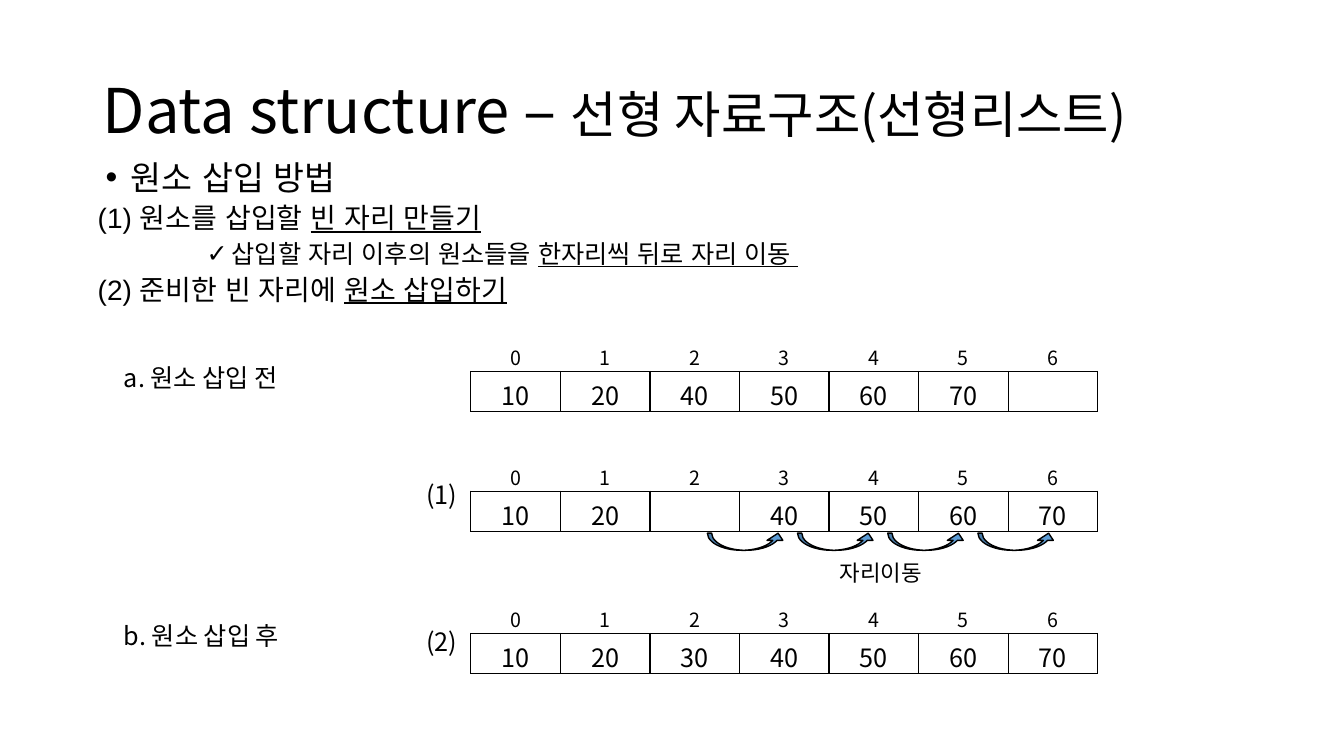
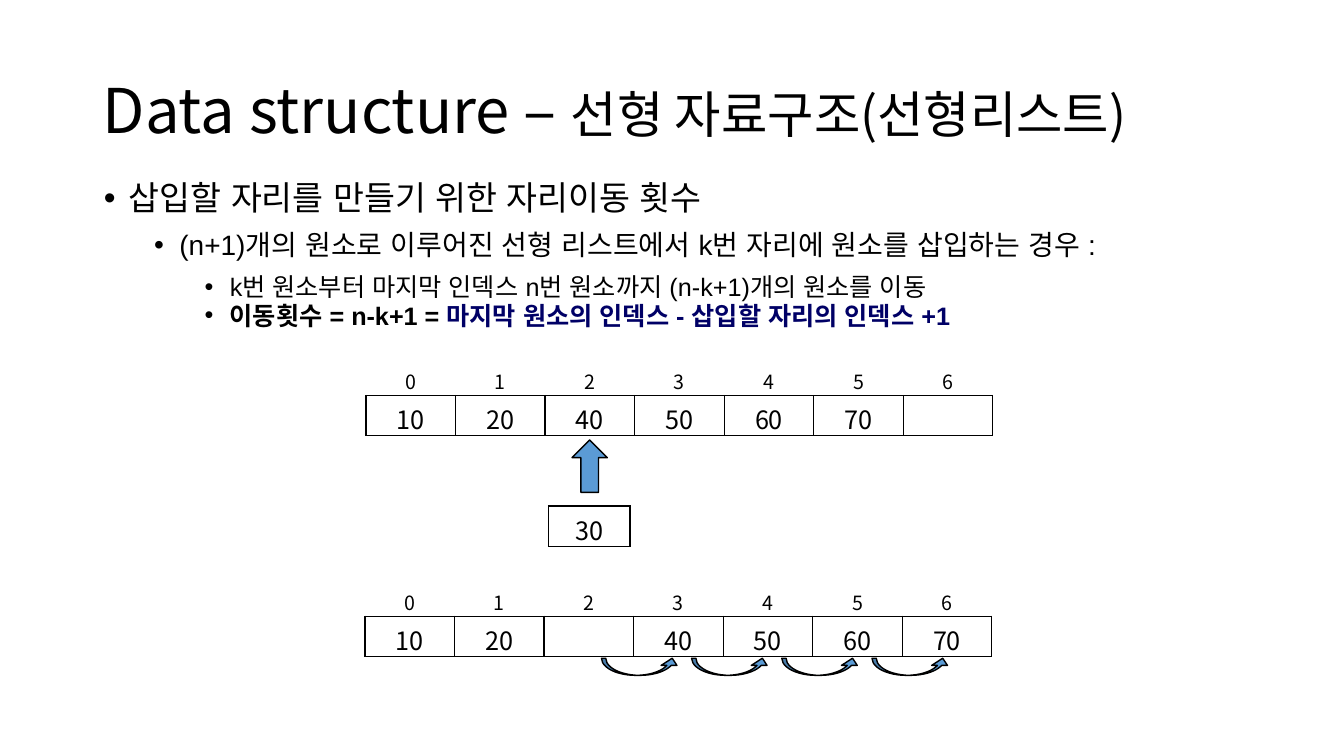
import pptx
import pptx.util
import pptx.dml.color
import pptx.enum.shapes
import pptx.enum.text
import pptx.oxml
import pptx.oxml.ns

WIDE, HIGH = 13.33, 7.5
INK, PAPER, BLUE, NAVY = "000000", "FFFFFF", "5B9BD5", "000066"
NOTO, ARIAL = "Noto Sans CJK KR", "Arial"
MID = pptx.enum.text.MSO_ANCHOR.MIDDLE
CENTER = pptx.enum.text.PP_ALIGN.CENTER
SHAPE = pptx.enum.shapes.MSO_SHAPE
TITLE = [("Data structure – ", {"size": 44}), ("선형 자료구조(선형리스트)", {"size": 36})]
LINE = {"underline": True}
SHIFT = ["10", "20", "", "40", "50", "60", "70"]
START = ["10", "20", "40", "50", "60", "70", ""]
FINAL = ["10", "20", "30", "40", "50", "60", "70"]


def across(share):
    return pptx.util.Inches(WIDE * share / 100)


def down(share):
    return pptx.util.Inches(HIGH * share / 100)


def place(x, y, w, h):
    return across(x), down(y), across(w), down(h)


def color(code):
    return pptx.dml.color.RGBColor.from_string(code)


def paint(fill, code):
    fill.solid()
    fill.fore_color.rgb = color(code)


def node(parent, tag, **attrs):
    item = pptx.oxml.ns.qn("a:" + tag)
    child = parent.makeelement(item, attrs)
    parent.append(child)
    return child


def apply(item, form):
    for name, value in form.items():
        setattr(item, name, value)


def write(para, text, size=18, name=NOTO, code=INK, **form):
    run = para.add_run()
    run.text = text
    apply(run.font, {"size": pptx.util.Pt(size), "name": name, **form})
    run.font.color.rgb = color(code)
    node(run.font._element, "ea", typeface=name)


def box(slide, spot, **form):
    frame = slide.shapes.add_textbox(*place(*spot)).text_frame
    apply(frame, {"word_wrap": True, **form})
    return frame


def label(slide, text, spot, size=18):
    write(box(slide, spot).paragraphs[0], text, size)


def head(slide):
    frame = box(slide, (6.9, 5.33, 86.25, 19.33), vertical_anchor=MID)
    para = frame.paragraphs[0]
    para.line_spacing = 0.9
    for text, form in TITLE:
        write(para, text, **form)


def body(slide, x, y, rows):
    frame = box(slide, (x, y, 86.25, 63.47))
    for index, (level, left, hang, space, mark, size, runs) in enumerate(rows):
        para = frame.add_paragraph() if index else frame.paragraphs[0]
        apply(para, {"level": level, "line_spacing": space,
                     "space_before": pptx.util.Pt(5)})
        props = para._p.get_or_add_pPr()
        props.set("marL", str(pptx.util.Inches(left)))
        props.set("indent", str(pptx.util.Inches(hang)))
        if mark:
            node(props, "buFont", typeface=ARIAL)
            node(props, "buChar", char=mark)
        else:
            node(props, "buNone")
        for text, form in runs:
            write(para, text, size, ARIAL, **form)


def border(cell, sides):
    props = cell._tc.get_or_add_tcPr()
    for index, side in enumerate(sides):
        edge = node(props, "ln" + side, w=str(pptx.util.Pt(1)))
        node(node(edge, "solidFill"), "srgbClr", val=INK)
        props.insert(index, edge)


def grid(slide, x, y, wide, rows):
    tall = sum(row[0] for row in rows)
    count = len(rows[0][3])
    spot = place(x, y, wide, tall)
    table = slide.shapes.add_table(len(rows), count, *spot).table
    apply(table, {"first_row": False, "horz_banding": False})
    for r, (part, size, sides, texts) in enumerate(rows):
        table.rows[r].height = down(part)
        for c, text in enumerate(texts):
            cell = table.cell(r, c)
            cell.vertical_anchor = MID
            paint(cell.fill, PAPER)
            border(cell, sides)
            para = cell.text_frame.paragraphs[0]
            para.alignment = CENTER
            if text:
                write(para, text, size)


def array(slide, x, y, items):
    keys = [str(n) for n in range(len(items))]
    grid(slide, x, y, 46.65, [(4, 14, "B", keys), (4.8, 18, "LRTB", items)])


def arrow(slide, kind, spot, turn=0, bends=()):
    shape = slide.shapes.add_shape(kind, *place(*spot))
    shape.shadow.inherit = False
    shape.rotation = turn
    paint(shape.fill, BLUE)
    paint(shape.line.fill, INK)
    shape.line.width = pptx.util.Pt(1)
    for index, bend in enumerate(bends):
        shape.adjustments[index] = bend


def hops(slide, x, y):
    for step in range(4):
        spot = (x + 17.6 + 6.71 * step, y + 10, 5.85, 2.27)
        arrow(slide, SHAPE.CURVED_UP_ARROW, spot, bends=(0.25, 0.92, 0.42))


def insert(slide):
    head(slide)
    body(slide, 3.38, 20.67, [
        (0, 0.75, -0.25, 0.9, "•", 24, [("원소 삽입 방법", {})]),
        (1, 0.42, 0, 0.9, "", 20,
         [("(1) 원소를 삽입할 ", {}), ("빈 자리 만들기", LINE)]),
        (2, 1.75, -0.25, 0.9, "✓", 18,
         [("삽입할 자리 이후의 원소들을 ", {}), ("한자리씩 뒤로 자리 이동 ", LINE)]),
        (1, 0.42, 0, 0.9, "", 20,
         [("(2) 준비한 빈 자리에 ", {}), ("원소 삽입하기", LINE)]),
    ])
    left = 35.03
    for y, items in [(44.67, START), (60.53, SHIFT), (79.33, FINAL)]:
        array(slide, left, y, items)
    label(slide, "(1)", (30.98, 62.8, 3.98, 5.33))
    label(slide, "(2)", (30.98, 82.13, 3.98, 5.33))
    hops(slide, left, 60.53)
    label(slide, "자리이동", (61.73, 73.33, 8.7, 4.93), 16)
    label(slide, "a. 원소 삽입 전", (8.48, 47.2, 15.75, 5.33))
    label(slide, "b. 원소 삽입 후", (8.48, 81.33, 15.75, 5.33))


def moves(slide):
    head(slide)
    body(slide, 3.23, 23.33, [
        (0, 0.75, -0.25, 0.9, "•", 24, [("삽입할 자리를 만들기 위한 자리이동 횟수", {})]),
        (1, 1.25, -0.25, 1.1, "•", 20,
         [("(n+1)개의 원소로 이루어진 선형 리스트에서 k번 자리에 원소를 삽입하는 경우 :", {})]),
        (2, 1.75, -0.25, 1.1, "•", 18,
         [("k번 원소부터 마지막 인덱스 n번 원소까지 (n-k+1)개의 원소를 이동", {})]),
        (2, 1.75, -0.25, 0.7, "•", 18,
         [("이동횟수 = n-k+1 = ", {"bold": True}),
          ("마지막 원소의 인덱스 - 삽입할 자리의 인덱스 +1", {"bold": True, "code": NAVY})]),
    ])
    array(slide, 27.23, 47.87, START)
    grid(slide, 40.8, 66.93, 6.08, [(4.27, 18, "LRTB", ["30"])])
    arrow(slide, SHAPE.RIGHT_ARROW, (41.93, 59.33, 3.9, 4.67), 270)
    array(slide, 27.15, 77.07, SHIFT)
    hops(slide, 27.15, 77.07)


def main():
    deck = pptx.Presentation()
    apply(deck, {"slide_width": across(100), "slide_height": down(100)})
    for build in (insert, moves):
        build(deck.slides.add_slide(deck.slide_layouts[6]))
    deck.save("out.pptx")


if __name__ == "__main__":
    main()
